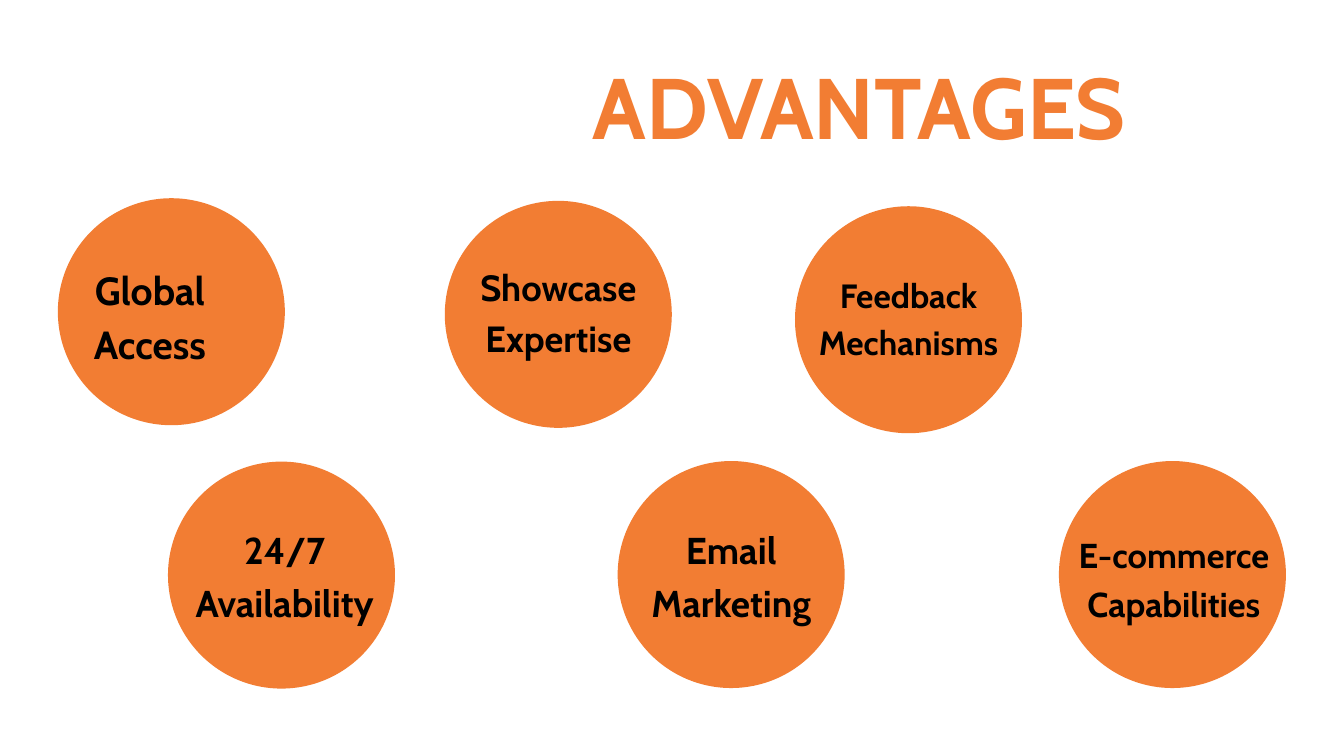
from pptx import Presentation
from pptx.dml.color import RGBColor
from pptx.enum.shapes import MSO_SHAPE as Kind
from pptx.enum.text import MSO_ANCHOR as Anchor, MSO_AUTO_SIZE as Fit, PP_ALIGN as Align
from pptx.util import Pt

ORANGE = RGBColor(0xF2, 0x7D, 0x33)
BLACK = RGBColor(0, 0, 0)
WHITE = RGBColor(0xFF, 0xFF, 0xFF)
FONT = "Cabin"
SIDE = 243.2
LEAD = 1.4

DISCS = [
    ("Global Access", 42, (62, 212.4), (0, 64, 197.3)),
    ("24/7 Availability", 40, (180, 494.6), (-1.4, 62.7, 252.7)),
    ("Showcase Expertise", 39, (476.6, 215.2), (-13.7, 61.3, 270.7)),
    ("Email Marketing", 40, (661.8, 494), (0, 63.3, 243.4)),
    ("Feedback Mechanisms", 36, (851.8, 221), (-13.7, 66.3, 270.7)),
    ("E-commerce Capabilities", 37, (1134.6, 494), (-59, 71.2, 364.3)),
]


def place(shape, left, top, width, height):
    shape.left, shape.top = Pt(left), Pt(top)
    shape.width, shape.height = Pt(width), Pt(height)


def write(shape, text, size, color):
    frame = shape.text_frame
    frame.text = text
    frame.word_wrap = True
    frame.auto_size = Fit.NONE
    frame.vertical_anchor = Anchor.TOP
    frame.margin_left = frame.margin_right = 0
    frame.margin_top = frame.margin_bottom = 0
    para = frame.paragraphs[0]
    para.alignment = Align.CENTER
    para.line_spacing = Pt(size * LEAD)
    font = para.runs[0].font
    font.name, font.size, font.bold = FONT, Pt(size), True
    font.color.rgb = color


def add_title(slide, box):
    title = slide.shapes.title
    place(title, *box)
    write(title, "ADVANTAGES", 92, ORANGE)


def add_disc(slide, text, size, spot, inset):
    left, top = spot
    disc = slide.shapes.add_shape(Kind.OVAL, Pt(left), Pt(top), Pt(SIDE), Pt(SIDE))
    disc.shadow.inherit = False
    disc.fill.solid()
    disc.fill.fore_color.rgb = ORANGE
    disc.line.fill.background()
    right, down, width = inset
    label = slide.shapes.add_textbox(
        Pt(left + right), Pt(top + down), Pt(width), Pt(2 * size * LEAD))
    write(label, text, size, BLACK)


def main():
    deck = Presentation()
    deck.slide_width, deck.slide_height = Pt(1440), Pt(810)
    slide = deck.slides.add_slide(deck.slide_layouts[5])
    slide.background.fill.solid()
    slide.background.fill.fore_color.rgb = WHITE
    add_title(slide, (586, 39.6, 669.6, 123))
    for disc in DISCS:
        add_disc(slide, *disc)
    deck.save("out.pptx")


if __name__ == "__main__":
    main()
